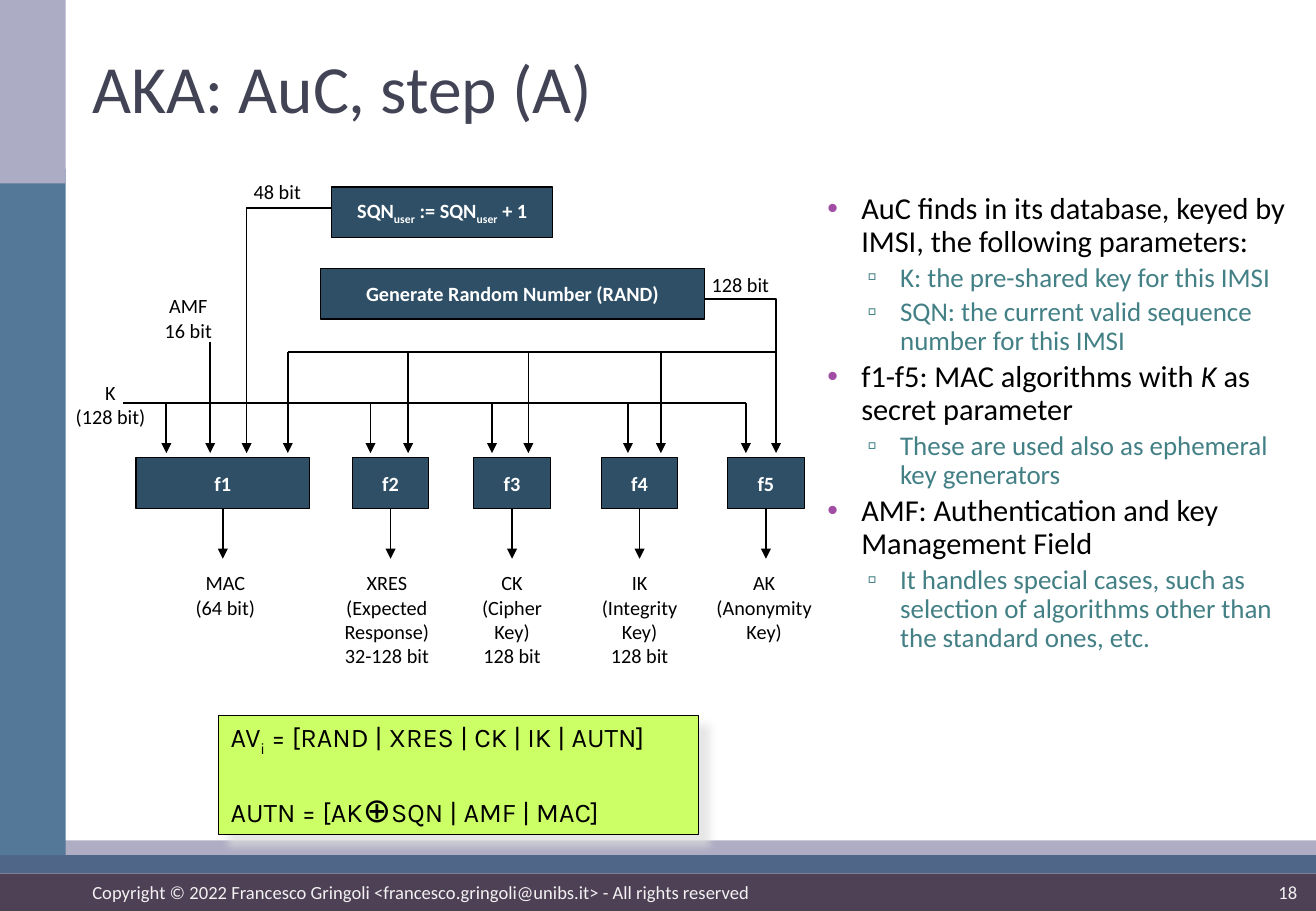
from dataclasses import dataclass

from lxml.etree import SubElement
from pptx import Presentation
from pptx.dml.color import RGBColor
from pptx.enum.shapes import MSO_CONNECTOR, MSO_SHAPE
from pptx.enum.text import MSO_ANCHOR, MSO_AUTO_SIZE, PP_ALIGN
from pptx.oxml.ns import qn
from pptx.util import Pt


@dataclass(frozen=True)
class Theme:
    font: str = "Calibri"
    formula_font: str = "Karla"
    black: str = "000000"
    white: str = "FFFFFF"
    title: str = "424456"
    teal: str = "438086"
    purple: str = "A04DA3"
    navy: str = "2E4F66"
    lime: str = "CCFF66"
    shadow: str = "DEDEDE"
    plum: str = "4E4055"
    lilac: str = "AEADC4"
    pale_lilac: str = "ADACC5"
    blue: str = "506688"
    steel: str = "547898"
    footer: str = "F2F2F2"
    title_size: float = 40
    body_size: float = 18
    sub_size: float = 16
    symbol_size: float = 20
    label_size: float = 12
    footer_size: float = 11


THEME = Theme()
SUBSCRIPT = {"baseline": -25000}
NO_INSETS = dict(margin_left=0, margin_top=0, margin_right=0, margin_bottom=0)
TITLE_INSETS = {**NO_INSETS, "margin_left": Pt(8.64)}


def assign(target, values):
    for name, value in values.items():
        setattr(target, name, value)


class Page:
    def __init__(self, deck, theme):
        self.theme = theme
        self.slide = deck.slides.add_slide(deck.slide_layouts[1])
        self.shapes = self.slide.shapes

    def set_text(self, frame, lines, size, color, align=PP_ALIGN.LEFT, bold=False,
                 font=None, **frame_format):
        assign(frame, frame_format)
        for index, line in enumerate(lines):
            para = frame.paragraphs[0] if index == 0 else frame.add_paragraph()
            para.alignment = align
            self.add_spans(para, line, size, color, bold, font)

    def add_spans(self, para, line, size, color, bold=False, font=None):
        spans = [(line, {})] if isinstance(line, str) else line
        for text, changes in spans:
            span = para.add_run()
            span.text = text
            assign(span.font, dict(name=font or self.theme.font, bold=bold,
                                   size=Pt(changes.get("size", size)),
                                   italic=changes.get("italic", False)))
            span.font.color.rgb = RGBColor.from_string(color)
            if "baseline" in changes:
                properties = span._r.get_or_add_rPr()
                properties.set("baseline", str(changes["baseline"]))

    def place(self, shape, box):
        assign(shape, dict(zip(("left", "top", "width", "height"), map(Pt, box))))

    def rectangle(self, box, fill, outline=None):
        shape = self.shapes.add_shape(MSO_SHAPE.RECTANGLE, *map(Pt, box))
        shape.shadow.inherit = False
        shape.fill.solid()
        shape.fill.fore_color.rgb = RGBColor.from_string(fill)
        if outline:
            shape.line.color.rgb = RGBColor.from_string(outline)
            shape.line.width = Pt(0.75)
        else:
            shape.line.fill.background()
        return shape

    def block(self, box, line):
        shape = self.rectangle(box, self.theme.navy, self.theme.black)
        self.set_text(shape.text_frame, [line], self.theme.label_size, self.theme.white,
                      PP_ALIGN.CENTER, True, word_wrap=False,
                      vertical_anchor=MSO_ANCHOR.MIDDLE)
        return shape

    def label(self, box, lines, align=PP_ALIGN.CENTER):
        frame = self.shapes.add_textbox(*map(Pt, box)).text_frame
        self.set_text(frame, lines, self.theme.label_size, self.theme.black, align,
                      word_wrap=False, auto_size=MSO_AUTO_SIZE.SHAPE_TO_FIT_TEXT)

    def footer(self, box, text, align, insets):
        frame = self.shapes.add_textbox(*map(Pt, box)).text_frame
        self.set_text(frame, [text], self.theme.footer_size, self.theme.footer, align,
                      word_wrap=True, vertical_anchor=MSO_ANCHOR.MIDDLE, **insets)

    def stroke(self, shape, arrow):
        shape.line.color.rgb = RGBColor.from_string(self.theme.black)
        shape.line.width = Pt(1)
        if arrow:
            outline = shape.element.spPr.find(qn("a:ln"))
            SubElement(outline, qn("a:tailEnd"), type="triangle")

    def line(self, start, end, arrow=True, source=None):
        connector = self.shapes.add_connector(
            MSO_CONNECTOR.STRAIGHT, *map(Pt, (*start, *end)))
        if source is not None:
            connector.begin_connect(source, 2)
        self.stroke(connector, arrow)
        SubElement(connector.element.spPr, qn("a:effectLst"))

    def elbow(self, *points):
        start, *rest = [tuple(map(Pt, point)) for point in points]
        builder = self.shapes.build_freeform(*start)
        builder.add_line_segments(rest, close=False)
        shape = builder.convert_to_shape()
        shape.shadow.inherit = False
        shape.fill.background()
        self.stroke(shape, True)

    def title(self, box, text):
        shape = self.shapes.title
        self.place(shape, box)
        self.set_text(shape.text_frame, [text], self.theme.title_size, self.theme.title,
                      word_wrap=True, auto_size=MSO_AUTO_SIZE.NONE,
                      vertical_anchor=MSO_ANCHOR.MIDDLE, **TITLE_INSETS)

    def bullets(self, box, items):
        theme = self.theme
        styles = [(theme.body_size, theme.black, "•", theme.purple, 28.8, -20.16),
                  (theme.sub_size, theme.teal, "▫", theme.teal, 51.84, -19.44)]
        shape = self.slide.placeholders[1]
        self.place(shape, box)
        frame = shape.text_frame
        assign(frame, dict(word_wrap=True, auto_size=MSO_AUTO_SIZE.NONE, **NO_INSETS))
        for index, (level, line) in enumerate(items):
            size, color, mark, mark_color, margin, indent = styles[level]
            para = frame.paragraphs[0] if index == 0 else frame.add_paragraph()
            assign(para, dict(level=level, line_spacing=0.9, space_before=Pt(3)))
            properties = para._p.get_or_add_pPr()
            properties.set("marL", str(Pt(margin)))
            properties.set("indent", str(Pt(indent)))
            SubElement(SubElement(properties, qn("a:buClr")), qn("a:srgbClr"),
                       val=mark_color)
            SubElement(properties, qn("a:buChar"), char=mark)
            self.add_spans(para, line, size, color)

    def formula(self, box, lines, gap):
        theme = self.theme
        shape = self.rectangle(box, theme.lime, theme.black)
        effects = shape.element.spPr.find(qn("a:effectLst"))
        shadow = SubElement(effects, qn("a:outerShdw"), blurRad=str(Pt(5)),
                            dist=str(Pt(8.5)), dir="2700000", algn="tl",
                            rotWithShape="0")
        color = SubElement(shadow, qn("a:srgbClr"), val=theme.shadow)
        SubElement(color, qn("a:alpha"), val="75000")
        self.set_text(shape.text_frame, lines, theme.sub_size, theme.black,
                      font=theme.formula_font, word_wrap=False,
                      vertical_anchor=MSO_ANCHOR.MIDDLE)
        shape.text_frame.paragraphs[-1].space_before = Pt(gap)


def draw_diagram(page):
    tip, key_bus, random_bus = 268.6, 239, 208.8
    block_top, block_height, output_end = 271.4, 30, 331.2

    page.elbow((407.5, 177.1), (460, 177.1), (460, tip))
    page.elbow((196.6, 123.1), (146.2, 123.1), (146.2, tip))
    page.block((196.6, 110.9, 131, block_height),
               [("SQN", {}), ("user", SUBSCRIPT), (" := SQN", {}),
                ("user", SUBSCRIPT), (" + 1", {})])
    page.block((190.1, 159.1, 227.5, block_height), "Generate Random Number (RAND)")

    functions = [
        ("f1", 80.6, 103, 98.6, 170.6, 108, 51.1, ["MAC", "(64 bit)"]),
        ("f2", 208.8, 45.4, 219.6, 241.9, 195.1, 68.4,
         ["XRES", "(Expected", "Response)", "32-128 bit"]),
        ("f3", 280.8, 45.4, 291.6, 313.2, 277.2, 52.6,
         ["CK", "(Cipher", "Key)", "128 bit"]),
        ("f4", 356.4, 45.4, 372.2, 391.7, 349.2, 59.8,
         ["IK", "(Integrity", "Key)", "128 bit"]),
        ("f5", 431.3, 45.4, 442.1, None, 414, 77.8,
         ["AK", "(Anonymity", "Key)"]),
    ]
    for name, left, width, key_x, random_x, label_left, label_width, output in functions:
        block = page.block((left, block_top, width, block_height), name)
        center = left + width / 2
        page.line((center, block_top + block_height), (center, output_end), source=block)
        page.line((key_x, key_bus), (key_x, tip))
        if random_x:
            page.line((random_x, random_bus), (random_x, tip))
        page.label((label_left, 334.8, label_width, 7.2 + 14.4 * len(output)), output)

    page.line((124.6, 203), (124.6, tip))
    page.line((170.6, random_bus), (460, random_bus), arrow=False)
    page.line((72.7, key_bus), (442.1, key_bus), arrow=False)
    page.label((89.3, 170.6, 44.6, 36), ["AMF", "16 bit"])
    page.label((36.7, 221.8, 57.6, 36), ["K", "(128 bit)"])
    page.label((143.3, 103, 44.6, 21.6), ["48 bit"], PP_ALIGN.LEFT)
    page.label((414.7, 157.7, 51.1, 21.6), ["128 bit"], PP_ALIGN.LEFT)


def main():
    deck = Presentation()
    assign(deck, dict(slide_width=Pt(780), slide_height=Pt(540)))
    page = Page(deck, THEME)

    for box, color in [((0, 517.7, 780, 22.3), THEME.plum),
                       ((0, 498.2, 780, 19.5), THEME.lilac),
                       ((0, 506.9, 780, 10.8), THEME.blue),
                       ((0, 100, 39, 406.9), THEME.steel),
                       ((0, 0, 39, 108.7), THEME.pale_lilac)]:
        page.rectangle(box, color)

    page.title((46.1, 9.4, 723.6, 84.2), "AKA: AuC, step (A)")
    page.bullets((481.7, 114.5, 285.8, 383.8), [
        (0, "AuC finds in its database, keyed by IMSI, the following parameters:"),
        (1, "K: the pre-shared key for this IMSI"),
        (1, "SQN: the current valid sequence number for this IMSI"),
        (0, [("f1-f5: MAC algorithms with ", {}), ("K", {"italic": True}),
             (" as secret parameter", {})]),
        (1, "These are used also as ephemeral key generators"),
        (0, "AMF: Authentication and key Management Field"),
        (1, "It handles special cases, such as selection of algorithms other than "
            "the standard ones, etc."),
    ])
    draw_diagram(page)
    page.formula((129.6, 424.1, 284.4, 70.6), [
        [("AV", {}), ("i", SUBSCRIPT), (" = [RAND | XRES | CK | IK | AUTN]", {})],
        [("AUTN = [AK", {}), ("⊕", {"size": THEME.symbol_size}),
         ("SQN | AMF | MAC]", {})],
    ], gap=19)
    page.footer((46.1, 520.6, 617.8, 16.6),
                "Copyright © 2022 Francesco Gringoli <francesco.gringoli@unibs.it>"
                " - All rights reserved", PP_ALIGN.LEFT, TITLE_INSETS)
    page.footer((681.1, 520.6, 87.8, 16.6), "18", PP_ALIGN.RIGHT, NO_INSETS)
    deck.save("out.pptx")


if __name__ == "__main__":
    main()
